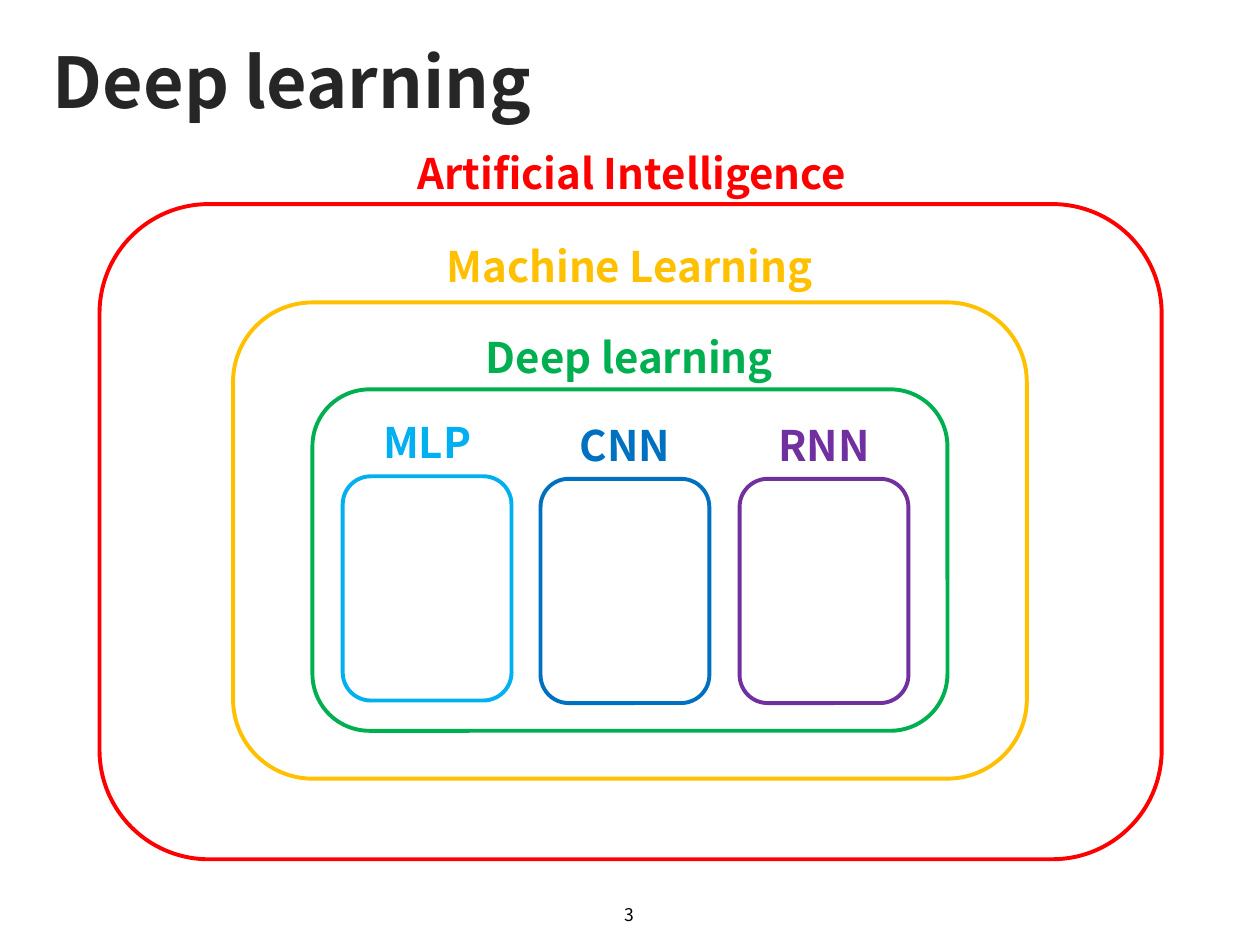
"""Build the slide that nests deep learning inside machine learning and AI."""
from pptx import Presentation
from pptx.dml.color import RGBColor
from pptx.enum.shapes import MSO_SHAPE
from pptx.enum.text import MSO_ANCHOR, MSO_AUTO_SIZE, PP_ALIGN
from pptx.util import Inches, Pt

ROUND_RECT = MSO_SHAPE.ROUNDED_RECTANGLE
MIDDLE = MSO_ANCHOR.MIDDLE
GROW = MSO_AUTO_SIZE.SHAPE_TO_FIT_TEXT
LEFT, CENTER = PP_ALIGN.LEFT, PP_ALIGN.CENTER
FONT = "Noto Sans CJK KR"


def rgb(color):
    return RGBColor.from_string(color)


def write(tf, text, size, color, bold, align):
    tf.word_wrap = True
    p = tf.paragraphs[0]
    p.text = text
    p.alignment = align
    p.font.name = FONT
    p.font.size = Pt(size)
    p.font.bold = bold
    p.font.color.rgb = rgb(color)


prs = Presentation()
prs.slide_width, prs.slide_height = Inches(10), Inches(7.5)
s = prs.slides.add_slide(prs.slide_layouts[5])

title = s.shapes.title
title.left, title.top = Inches(0.32), Inches(0.28)
title.width, title.height = Inches(9.38), Inches(0.72)
title.text_frame.vertical_anchor = MIDDLE
write(title.text_frame, "Deep learning", 40, "262626", True, LEFT)

fields = [
    ("Artificial Intelligence", "FF0000", (0.79, 1.62, 8.43, 5.2), (3.05, 1.12, 3.93)),
    ("Machine Learning", "FFC000", (1.85, 2.4, 6.3, 3.78), (3.03, 1.86, 3.93)),
    ("Deep learning", "00B050", (2.48, 3.09, 5.04, 2.71), (3.03, 2.58, 3.93)),
]
networks = [
    ("MLP", "00B0F0", 2.72, 3.78),
    ("CNN", "0070C0", 4.29, 3.8),
    ("RNN", "7030A0", 5.87, 3.8),
]
for name, color, x, y in networks:
    fields.append((name, color, (x, y, 1.34, 1.78), (x, y - 0.52, 1.34)))

for name, color, frame, label in fields:
    sp = s.shapes.add_shape(ROUND_RECT, *map(Inches, frame))
    sp.shadow.inherit = False
    sp.fill.background()
    sp.line.color.rgb = rgb(color)
    sp.line.width = Pt(2.25)

    box = s.shapes.add_textbox(*map(Inches, label), Inches(0.5))
    box.text_frame.auto_size = GROW
    write(box.text_frame, name, 24, color, True, CENTER)

number = s.shapes.add_textbox(Inches(3.83), Inches(7.06), Inches(2.33), Inches(0.4))
number.text_frame.vertical_anchor = MIDDLE
write(number.text_frame, "3", 10, "000000", False, CENTER)

prs.save("out.pptx")
